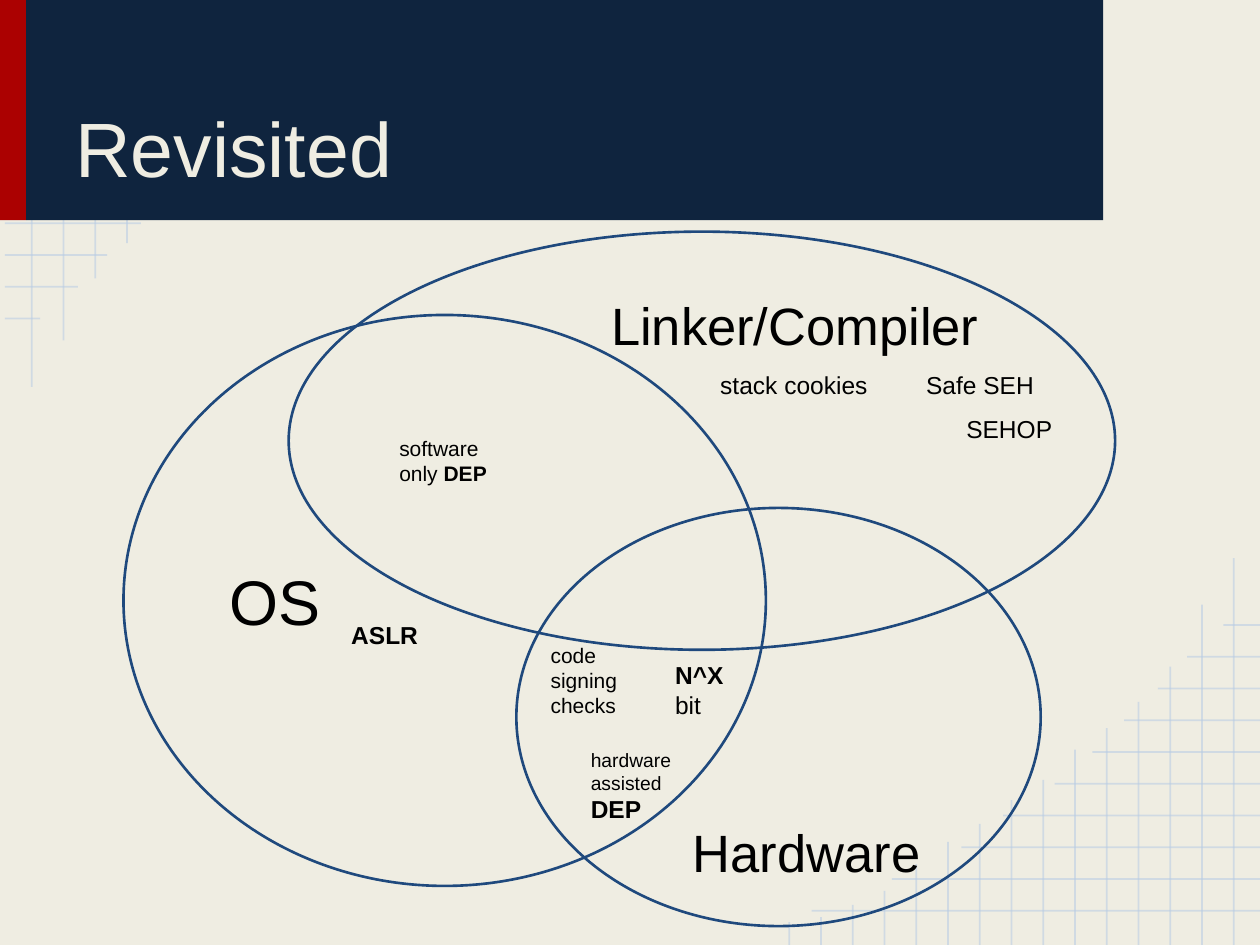
from dataclasses import dataclass

from lxml import etree
from pptx import Presentation, util as u
from pptx.dml.color import RGBColor
from pptx.enum import shapes, text
from pptx.oxml import ns


@dataclass(frozen=True)
class Theme:
    """Colours, font and type sizes of the slide."""
    font: str = "Arial"
    paper: str = "EFEDE2"
    navy: str = "0F243E"
    red: str = "AB0101"
    ring: str = "1F497D"
    grid: str = "B7CCE4"
    ink: str = "000000"
    title: int = 44
    os_name: int = 36
    set_name: int = 30
    item: int = 14
    small: int = 12
    tiny: int = 11


THEME = Theme()
PITCH = 0.64
WIDTH, HEIGHT = 25.4, 19.05


def rgb(value):
    """Turn a hex string into a colour."""
    return RGBColor.from_string(value)


def write_text(frame, paragraphs, size=THEME.item, color=THEME.ink, bold=False,
               anchor=text.MSO_ANCHOR.TOP, indent=0, top=0.25):
    """Fill a frame with paragraphs, each a list of (words, overrides) runs."""
    frame.word_wrap = True
    frame.vertical_anchor = anchor
    frame.margin_left = frame.margin_right = frame.margin_bottom = u.Cm(0.25)
    frame.margin_left = u.Cm(0.25 + indent)
    frame.margin_top = u.Cm(top)
    for index, runs in enumerate(paragraphs):
        paragraph = frame.paragraphs[0] if index == 0 else frame.add_paragraph()
        paragraph.alignment = text.PP_ALIGN.LEFT
        for words, changes in runs:
            for number, line in enumerate(words.split("\n")):
                if number:
                    paragraph.add_line_break()
                run = paragraph.add_run()
                run.text = line
                run.font.name = THEME.font
                run.font.size = u.Pt(changes.get("size", size))
                run.font.bold = changes.get("bold", bold)
                run.font.color.rgb = rgb(color)


def add_label(slide, box, paragraphs, **style):
    """Place a text box."""
    label = slide.shapes.add_textbox(*map(u.Cm, box))
    write_text(label.text_frame, paragraphs, **style)


def add_band(slide, box, color):
    """Place a filled rectangle without outline."""
    band = slide.shapes.add_shape(shapes.MSO_SHAPE.RECTANGLE, *map(u.Cm, box))
    band.shadow.inherit = False
    band.fill.solid()
    band.fill.fore_color.rgb = rgb(color)
    band.line.fill.background()


def add_set(slide, box, name, **style):
    """Place one named ellipse of the diagram."""
    ring = slide.shapes.add_shape(shapes.MSO_SHAPE.OVAL, *map(u.Cm, box))
    ring.shadow.inherit = False
    ring.fill.background()
    ring.line.color.rgb = rgb(THEME.ring)
    ring.line.width = u.Pt(1.5)
    write_text(ring.text_frame, [[(name, {})]], **style)


def add_grid_line(slide, *ends):
    """Draw one translucent grid line."""
    line = slide.shapes.add_connector(shapes.MSO_CONNECTOR.STRAIGHT, *map(u.Cm, ends))
    line.line.color.rgb = rgb(THEME.grid)
    line.line.width = u.Pt(1)
    properties = line._element.spPr
    tint = properties.find(".//" + ns.qn("a:srgbClr"))
    etree.SubElement(tint, ns.qn("a:alpha")).set("val", "54000")
    etree.SubElement(properties, ns.qn("a:effectLst"))


def add_grids(slide):
    """Draw the stepped grids in the upper left and lower right corners."""
    for step, right in enumerate((2.84, 2.16, 1.57, 0.81)):
        y = 4.5 + step * PITCH
        add_grid_line(slide, 0.1, y, right, y)
    for step, bottom in enumerate((7.8, 6.86, 5.61, 4.9)):
        x = (step + 1) * PITCH
        add_grid_line(slide, x, 0, x, bottom)
    lefts = (16.36, 17.98, 19.38, 20.22, 21.26, 22.02, 22.66, 23.34, 23.93, 24.66)
    for step, left in enumerate(lefts):
        y = 18.36 - step * PITCH
        add_grid_line(slide, WIDTH, y, left, y)
    tops = (11.25, 12.19, 13.44, 14.15, 14.68, 15.11, 15.72, 16.13,
            16.61, 16.97, 17.42, 17.96, 18.24, 18.49, 18.59)
    for step, top in enumerate(tops):
        x = 24.87 - step * PITCH
        add_grid_line(slide, x, top, x, HEIGHT)


def add_header(slide):
    """Draw the title band."""
    add_band(slide, (0, -0.03, 0.53, 4.47), THEME.red)
    add_band(slide, (0.53, -0.03, 21.71, 4.47), THEME.navy)
    add_label(slide, (1.27, 0.38, 20.32, 3.76), [[("Revisited", {})]],
              size=THEME.title, color=THEME.paper, anchor=text.MSO_ANCHOR.BOTTOM)


def add_sets(slide):
    """Draw the three overlapping sets."""
    add_set(slide, (2.49, 6.35, 12.95, 11.51), "OS",
            size=THEME.os_name, anchor=text.MSO_ANCHOR.MIDDLE)
    add_set(slide, (5.82, 4.67, 16.66, 8.43), "Linker/Compiler",
            size=THEME.set_name, indent=3.81, top=0)
    add_set(slide, (10.41, 10.24, 10.57, 8.43), "Hardware",
            size=THEME.set_name, indent=1.76, top=5.06)


def add_items(slide):
    """Place the techniques inside their sets."""
    strong = {"bold": True}
    add_label(slide, (6.83, 12.24, 3.45, 1.09), [[("ASLR", strong)]])
    add_label(slide, (11.66, 14.83, 3.76, 1.09),
              [[("hardware", {})], [("assisted", {})],
               [("DEP", {"bold": True, "size": THEME.item})]], size=THEME.tiny)
    add_label(slide, (7.8, 8.53, 3.76, 1.09),
              [[("software \nonly ", {}), ("DEP", strong)]], size=THEME.small)
    add_label(slide, (14.27, 7.21, 3.78, 0.94), [[("stack cookies", {})]])
    add_label(slide, (18.42, 7.21, 4.04, 1.55), [[("Safe SEH", {})]])
    add_label(slide, (19.23, 8.1, 4.04, 1.55), [[("SEHOP", {})]])
    add_label(slide, (10.85, 12.7, 2.08, 1.02),
              [[("code signing checks", {})]], size=THEME.small)
    add_label(slide, (13.36, 13.06, 2.08, 1.07), [[("N^X", strong), (" bit", {})]])


def main():
    """Build and save the slide."""
    deck = Presentation()
    deck.slide_width, deck.slide_height = u.Cm(WIDTH), u.Cm(HEIGHT)
    slide = deck.slides.add_slide(deck.slide_layouts[6])
    slide.background.fill.solid()
    slide.background.fill.fore_color.rgb = rgb(THEME.paper)
    add_grids(slide)
    add_header(slide)
    add_sets(slide)
    add_items(slide)
    deck.save("out.pptx")


main()
